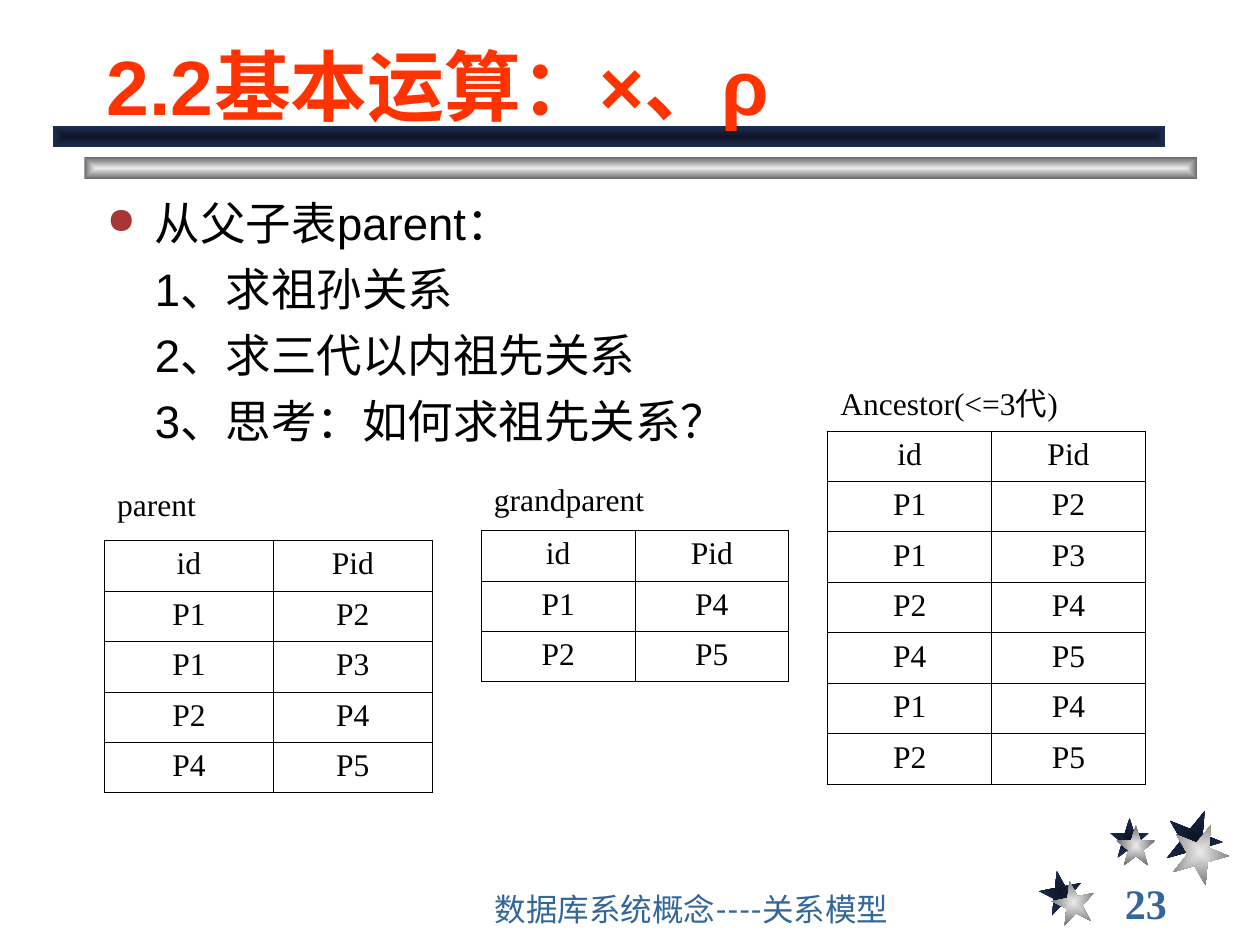
from dataclasses import dataclass

from lxml import etree
from pptx import Presentation
from pptx.dml.color import RGBColor
from pptx.enum.shapes import MSO_SHAPE as Preset
from pptx.enum.text import MSO_ANCHOR as Anchor, PP_ALIGN as Align
from pptx.oxml.ns import qn
from pptx.util import Inches, Pt

NAVY = ("0E1526", "1E2E53")
SILVER = ("EAEAEA", "6C6C6C")
TITLE = dict(name="Arial", size=Pt(44), bold=True)
BODY = dict(name="Arial", size=Pt(26), bold=False)
FOOTER = dict(name="Lato", size=Pt(18), bold=False)
PAGE_NUMBER = dict(name="Times New Roman", size=Pt(24), bold=True)
CELL = dict(name="Times New Roman", size=Pt(18), bold=False)
ROW_HEIGHT = 0.4


@dataclass
class Ornament:
    preset: int
    left: float
    top: float
    width: float
    height: float
    shades: tuple[str, str]
    rotation: int = 0


@dataclass
class Relation:
    caption: str
    left: float
    top: float
    columns: tuple[float, float]
    tuples: list[tuple[str, str]]
    caption_height: float = ROW_HEIGHT
    merge_caption: bool = True


ORNAMENTS = [
    Ornament(Preset.STAR_5_POINT, 8.25, 6.91, 0.34, 0.34, NAVY, 349),
    Ornament(Preset.STAR_5_POINT, 8.81, 6.49, 0.31, 0.32, NAVY),
    Ornament(Preset.STAR_5_POINT, 9.25, 6.42, 0.45, 0.46, NAVY, 22),
    Ornament(Preset.STAR_5_POINT, 8.35, 6.99, 0.34, 0.34, SILVER, 349),
    Ornament(Preset.STAR_5_POINT, 8.86, 6.55, 0.31, 0.32, SILVER),
    Ornament(Preset.STAR_5_POINT, 9.3, 6.53, 0.45, 0.46, SILVER, 22),
    Ornament(Preset.RECTANGLE, 0.67, 1.25, 8.83, 0.17, SILVER),
    Ornament(Preset.RECTANGLE, 0.42, 1, 8.83, 0.17, NAVY),
]

PARENTS = [("P1", "P2"), ("P1", "P3"), ("P2", "P4"), ("P4", "P5")]
GRANDPARENTS = [("P1", "P4"), ("P2", "P5")]
RELATIONS = [
    Relation("parent", 0.83, 3.9, (1.34, 1.26), PARENTS, merge_caption=False),
    Relation("grandparent", 3.82, 3.79, (1.22, 1.22), GRANDPARENTS, 0.42),
    Relation("Ancestor(<=3代)", 6.57, 3.02, (1.3, 1.22), PARENTS + GRANDPARENTS),
]
RELATIONS[0].top, RELATIONS[2].top = 3.83, 2.96
RELATIONS[0].caption_height = RELATIONS[2].caption_height = 0.46


def rgb(value: str) -> RGBColor:
    return RGBColor.from_string(value)


def style(font, formats: dict, color: str) -> None:
    for attribute, value in formats.items():
        setattr(font, attribute, value)
    font.color.rgb = rgb(color)


def draw_ornament(slide, item: Ornament) -> None:
    shape = slide.shapes.add_shape(item.preset, Inches(item.left), Inches(item.top),
                                   Inches(item.width), Inches(item.height))
    shape.rotation = item.rotation
    shape.shadow.inherit = False
    shape.line.fill.background()
    shape.fill.gradient()
    for stop, shade in zip(shape.fill.gradient_stops, item.shades):
        stop.color.rgb = rgb(shade)
    for stop, position in zip(shape.fill.gradient_stops, (0, 1)):
        stop.position = position
    gradient = shape._element.spPr.find(qn("a:gradFill"))
    gradient.remove(gradient.find(qn("a:lin")))
    rings = etree.SubElement(gradient, qn("a:path"), path="rect")
    etree.SubElement(rings, qn("a:fillToRect"), l="50000", t="50000", r="50000", b="50000")


def add_text(slide, box: tuple, lines: list[str], formats: dict, color: str, anchor):
    frame = slide.shapes.add_textbox(*map(Inches, box)).text_frame
    frame.word_wrap = True
    frame.vertical_anchor = anchor
    frame.text = "\n".join(lines)
    for paragraph in frame.paragraphs:
        style(paragraph.runs[0].font, formats, color)
    return frame


def indent_list(frame) -> None:
    """Bullet the first paragraph and align the others with its text."""
    margin = Inches(0.38)
    for index, paragraph in enumerate(frame.paragraphs):
        properties = paragraph._p.get_or_add_pPr()
        properties.set("marL", str(margin))
        properties.set("indent", str(0 if index else -margin))
        if index:
            paragraph.space_before = Pt(6.5)
        else:
            color = etree.SubElement(properties, qn("a:buClr"))
            etree.SubElement(color, qn("a:srgbClr"), val="A73737")
            etree.SubElement(properties, qn("a:buSzPct"), val="80000")
            etree.SubElement(properties, qn("a:buChar"), char="●")


def set_borders(cell, drawn_sides: str) -> None:
    properties = cell._tc.get_or_add_tcPr()
    for position, side in enumerate("LRTB"):
        line = etree.Element(qn(f"a:ln{side}"), w=str(Pt(0.45)))
        if side in drawn_sides:
            fill = etree.SubElement(line, qn("a:solidFill"))
            etree.SubElement(fill, qn("a:srgbClr"), val="000000")
        else:
            etree.SubElement(line, qn("a:noFill"))
        properties.insert(position, line)


def draw_relation(slide, relation: Relation) -> None:
    rows = [(relation.caption, ""), ("id", "Pid"), *relation.tuples]
    height = relation.caption_height + ROW_HEIGHT * (len(rows) - 1)
    table = slide.shapes.add_table(
        len(rows), 2, Inches(relation.left), Inches(relation.top),
        Inches(sum(relation.columns)), Inches(height)).table
    table.first_row = table.horz_banding = False
    for column, width in zip(table.columns, relation.columns):
        column.width = Inches(width)
    for index, values in enumerate(rows):
        table.rows[index].height = Inches(ROW_HEIGHT if index else relation.caption_height)
        for cell, value in zip(table.rows[index].cells, values):
            cell.fill.background()
            set_borders(cell, "LRTB" if index else "B")
            cell.text = value
            paragraph = cell.text_frame.paragraphs[0]
            paragraph.alignment = Align.CENTER if index else Align.LEFT
            style(paragraph.font, CELL, "000000")
            for run in paragraph.runs:
                style(run.font, CELL, "000000")
    if relation.merge_caption:
        table.cell(0, 0).merge(table.cell(0, 1))


def main() -> None:
    deck = Presentation()
    deck.slide_width, deck.slide_height = Inches(10), Inches(7.5)
    slide = deck.slides.add_slide(deck.slide_layouts[6])
    for ornament in ORNAMENTS:
        draw_ornament(slide, ornament)
    add_text(slide, (8.83, 7, 1.08, 0.33), ["23"], PAGE_NUMBER, "336699", Anchor.MIDDLE)
    add_text(slide, (3.83, 7.08, 4.08, 0.33), ["数据库系统概念----关系模型"],
             FOOTER, "336699", Anchor.BOTTOM)
    add_text(slide, (0.75, 0.17, 8.5, 0.92), ["2.2基本运算：×、ρ"],
             TITLE, "FF3300", Anchor.BOTTOM)
    tasks = ["从父子表parent：", "1、求祖孙关系", "2、求三代以内祖先关系",
             "3、思考：如何求祖先关系？"]
    indent_list(add_text(slide, (0.75, 1.5, 8.35, 2.88), tasks, BODY, "000000", Anchor.TOP))
    for relation in RELATIONS:
        draw_relation(slide, relation)
    deck.save("out.pptx")


if __name__ == "__main__":
    main()
